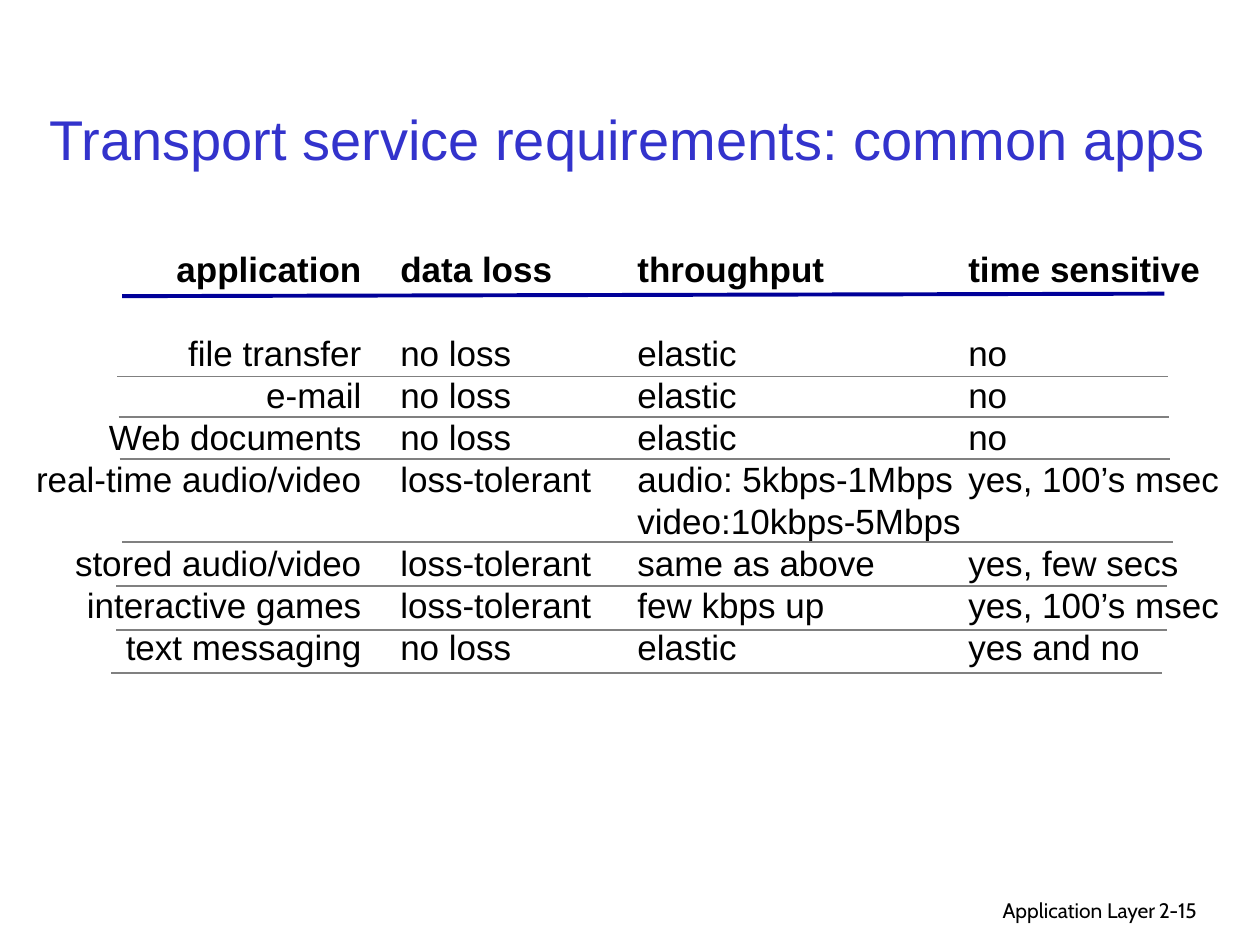
"""Build the slide on transport service requirements of common apps."""
from lxml.etree import SubElement
from pptx import Presentation
from pptx.dml.color import RGBColor
from pptx.enum.shapes import MSO_CONNECTOR
from pptx.enum.text import MSO_ANCHOR, MSO_AUTO_SIZE, PP_ALIGN
from pptx.oxml.ns import qn
from pptx.util import Cm, Pt

BLACK = RGBColor(0x00, 0x00, 0x00)
BLUE = RGBColor(0x33, 0x33, 0xCC)
NAVY = RGBColor(0x00, 0x00, 0x99)
GRAY = RGBColor(0x80, 0x80, 0x80)
ROW = Pt(24)


def add_run(p, text, size, name, color, bold=False):
    r = p.add_run()
    r.text = text
    r.font.size, r.font.name, r.font.bold = Pt(size), name, bold
    r.font.color.rgb = color


def add_line(slide, x1, y1, x2, y2, color, width):
    line = slide.shapes.add_connector(
        MSO_CONNECTOR.STRAIGHT, Cm(x1), Cm(y1), Cm(x2), Cm(y2))
    line.line.color.rgb, line.line.width = color, Pt(width)
    SubElement(line._element.spPr, qn("a:effectLst"))


prs = Presentation()
prs.slide_width, prs.slide_height = Cm(25.4), Cm(19.05)
slide = prs.slides.add_slide(prs.slide_layouts[5])

footers = [
    ("Application Layer", 15.49, 8.05, PP_ALIGN.RIGHT),
    ("2-15", 23.11, 1.88, PP_ALIGN.LEFT),
]
for text, left, width, align in footers:
    tf = slide.shapes.add_textbox(Cm(left), Cm(17.96), Cm(width), Cm(0.78)).text_frame
    tf.word_wrap = True
    p = tf.paragraphs[0]
    p.alignment = align
    add_run(p, text, 12, "Cabin", BLACK)

columns = [
    (0.34, 7.2, PP_ALIGN.RIGHT,
     ["application", None, "file transfer", "e-mail", "Web documents",
      "real-time audio/video", None, "stored audio/video",
      "interactive games", "text messaging"]),
    (7.82, 4.6, PP_ALIGN.LEFT,
     ["data loss", None, "no loss", "no loss", "no loss", "loss-tolerant",
      None, "loss-tolerant", "loss-tolerant", "no loss"]),
    (12.6, 7.16, PP_ALIGN.LEFT,
     ["throughput", None, "elastic", "elastic", "elastic",
      "audio: 5kbps-1Mbps", "video:10kbps-5Mbps", "same as above",
      "few kbps up", "elastic"]),
    (19.27, 5.75, PP_ALIGN.LEFT,
     ["time sensitive", None, "no", "no", "no", "yes, 100’s msec", None,
      "yes, few secs", "yes, 100’s msec", "yes and no"]),
]
for left, width, align, rows in columns:
    tf = slide.shapes.add_textbox(Cm(left), Cm(4.87), Cm(width), Cm(8.74)).text_frame
    tf.word_wrap = True
    for i, text in enumerate(rows):
        if text is None:
            continue
        p = tf.add_paragraph() if i else tf.paragraphs[0]
        p.alignment, p.line_spacing = align, ROW
        if i and rows[i - 1] is None:
            p.space_before = ROW
        add_run(p, text, 20, "Arial", BLACK, bold=i == 0)

add_line(slide, 2.46, 5.97, 23.47, 5.92, NAVY, 2.25)
rules = [(2.36, 7.59), (2.39, 8.41), (2.41, 9.25), (2.46, 10.92),
         (2.34, 11.81), (2.34, 12.7), (2.24, 13.56)]
for x, y in rules:
    add_line(slide, x, y, x + 21.18, y, GRAY, 1)

title = slide.shapes.title
title.left, title.top, title.width, title.height = Cm(0.72), Cm(1.95), Cm(23.88), Cm(1.63)
tf = title.text_frame
tf.word_wrap, tf.auto_size = False, MSO_AUTO_SIZE.NONE
tf.vertical_anchor = MSO_ANCHOR.BOTTOM
p = tf.paragraphs[0]
p.alignment = PP_ALIGN.CENTER
add_run(p, "Transport service requirements: common apps", 32, "Arial", BLUE)

prs.save("out.pptx")
